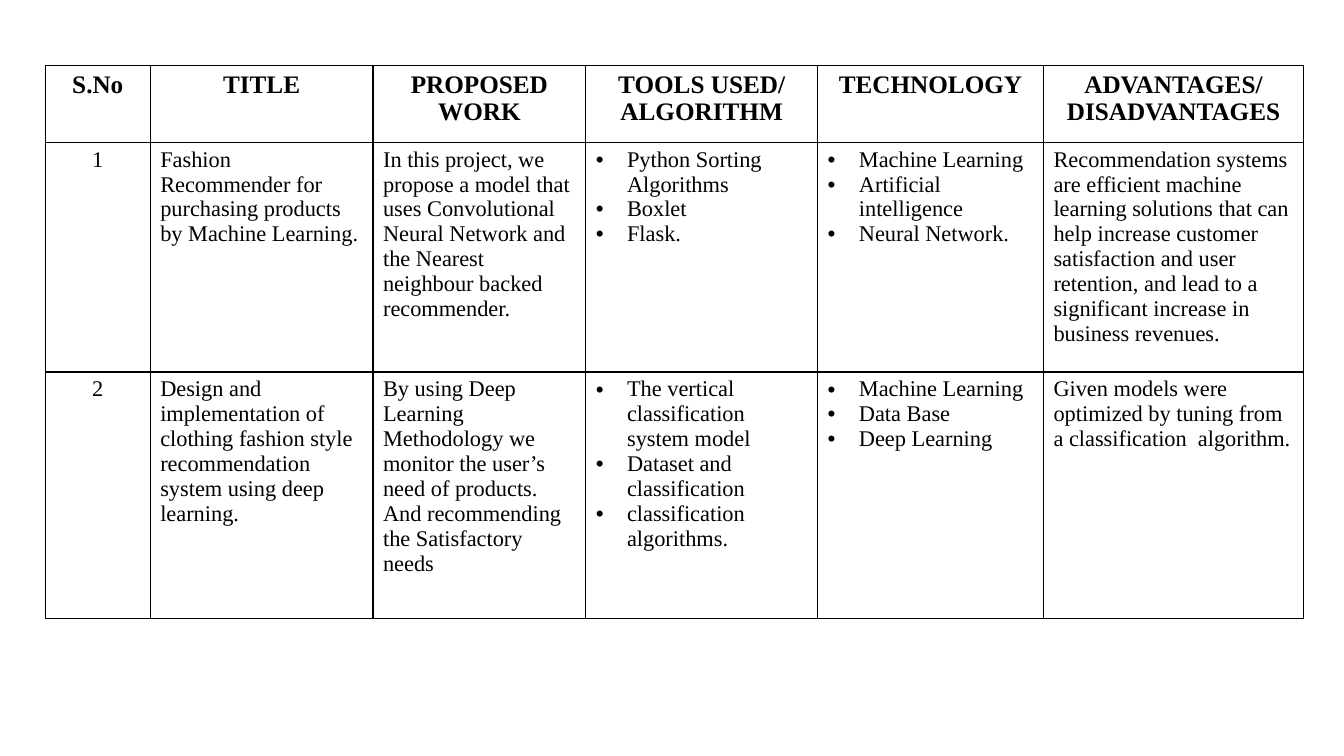
from dataclasses import dataclass

from lxml.etree import SubElement
from pptx import Presentation
from pptx.dml.color import RGBColor
from pptx.enum.text import PP_ALIGN
from pptx.oxml.ns import qn
from pptx.util import Inches, Pt


@dataclass(frozen=True)
class Theme:
    font: str = "Times New Roman"
    ink: str = "000000"
    header_size: int = 18
    body_size: int = 16
    border_width: int = 1
    bullet_indent: float = 0.31


THEME = Theme()
BLANK_LAYOUT = 6
TABLE_LEFT, TABLE_TOP = 0.45, 0.65
COLUMN_WIDTHS = [1.04, 2.21, 2.11, 2.3, 2.24, 2.58]
ROW_HEIGHTS = [0.76, 2.28, 2.45]
CENTRED_COLUMN = 0
BULLETED_COLUMNS = (3, 4)

SURVEY = [
    ["S.No", "TITLE", "PROPOSED WORK", "TOOLS USED/\nALGORITHM", "TECHNOLOGY",
     "ADVANTAGES/ DISADVANTAGES"],
    ["1",
     "Fashion Recommender for purchasing products by Machine Learning.",
     "In this project, we propose a model that uses Convolutional Neural Network "
     "and the Nearest neighbour backed recommender.",
     "Python Sorting Algorithms\nBoxlet\nFlask.",
     "Machine Learning\nArtificial intelligence\nNeural Network.",
     "Recommendation systems are efficient machine learning solutions that can help "
     "increase customer satisfaction and user retention, and lead to a significant "
     "increase in business revenues."],
    ["2",
     "Design and implementation of clothing fashion style recommendation system "
     "using deep learning.",
     "By using Deep Learning Methodology we monitor the user’s need of products. "
     "And recommending the Satisfactory needs",
     "The vertical classification system model\nDataset and classification\n"
     "classification algorithms.",
     "Machine Learning\nData Base\nDeep Learning",
     "Given models were optimized by tuning from a classification  algorithm."],
]


def add_bullet(paragraph):
    properties = paragraph._p.get_or_add_pPr()
    indent = Inches(THEME.bullet_indent)
    properties.set("marL", str(indent))
    properties.set("indent", str(-indent))
    SubElement(properties, qn("a:buFont")).set("typeface", "Arial")
    SubElement(properties, qn("a:buChar")).set("char", "•")


def add_borders(cell):
    properties = cell._tc.get_or_add_tcPr()
    for side in ("a:lnL", "a:lnR", "a:lnT", "a:lnB"):
        line = SubElement(properties, qn(side), w=str(Pt(THEME.border_width)))
        fill = SubElement(line, qn("a:solidFill"))
        SubElement(fill, qn("a:srgbClr")).set("val", THEME.ink)


def fill_cell(cell, text, is_header, column):
    cell.text_frame.text = text
    add_borders(cell)
    cell.fill.background()
    for paragraph in cell.text_frame.paragraphs:
        if is_header or column == CENTRED_COLUMN:
            paragraph.alignment = PP_ALIGN.CENTER
        elif column in BULLETED_COLUMNS:
            add_bullet(paragraph)
        for run in paragraph.runs:
            run.font.name = THEME.font
            run.font.size = Pt(THEME.header_size if is_header else THEME.body_size)
            run.font.bold = is_header
            run.font.color.rgb = RGBColor.from_string(THEME.ink)


def add_survey_table(slide):
    table = slide.shapes.add_table(
        len(ROW_HEIGHTS), len(COLUMN_WIDTHS), Inches(TABLE_LEFT), Inches(TABLE_TOP),
        Inches(sum(COLUMN_WIDTHS)), Inches(sum(ROW_HEIGHTS))).table
    table.horz_banding = False
    for column, width in zip(table.columns, COLUMN_WIDTHS):
        column.width = Inches(width)
    for row, height in zip(table.rows, ROW_HEIGHTS):
        row.height = Inches(height)
    for row_index, texts in enumerate(SURVEY):
        for column_index, text in enumerate(texts):
            fill_cell(table.cell(row_index, column_index), text,
                      row_index == 0, column_index)


def main():
    presentation = Presentation()
    presentation.slide_width = Inches(13.33)
    presentation.slide_height = Inches(7.5)
    slide = presentation.slides.add_slide(presentation.slide_layouts[BLANK_LAYOUT])
    add_survey_table(slide)
    presentation.save("out.pptx")


if __name__ == "__main__":
    main()
